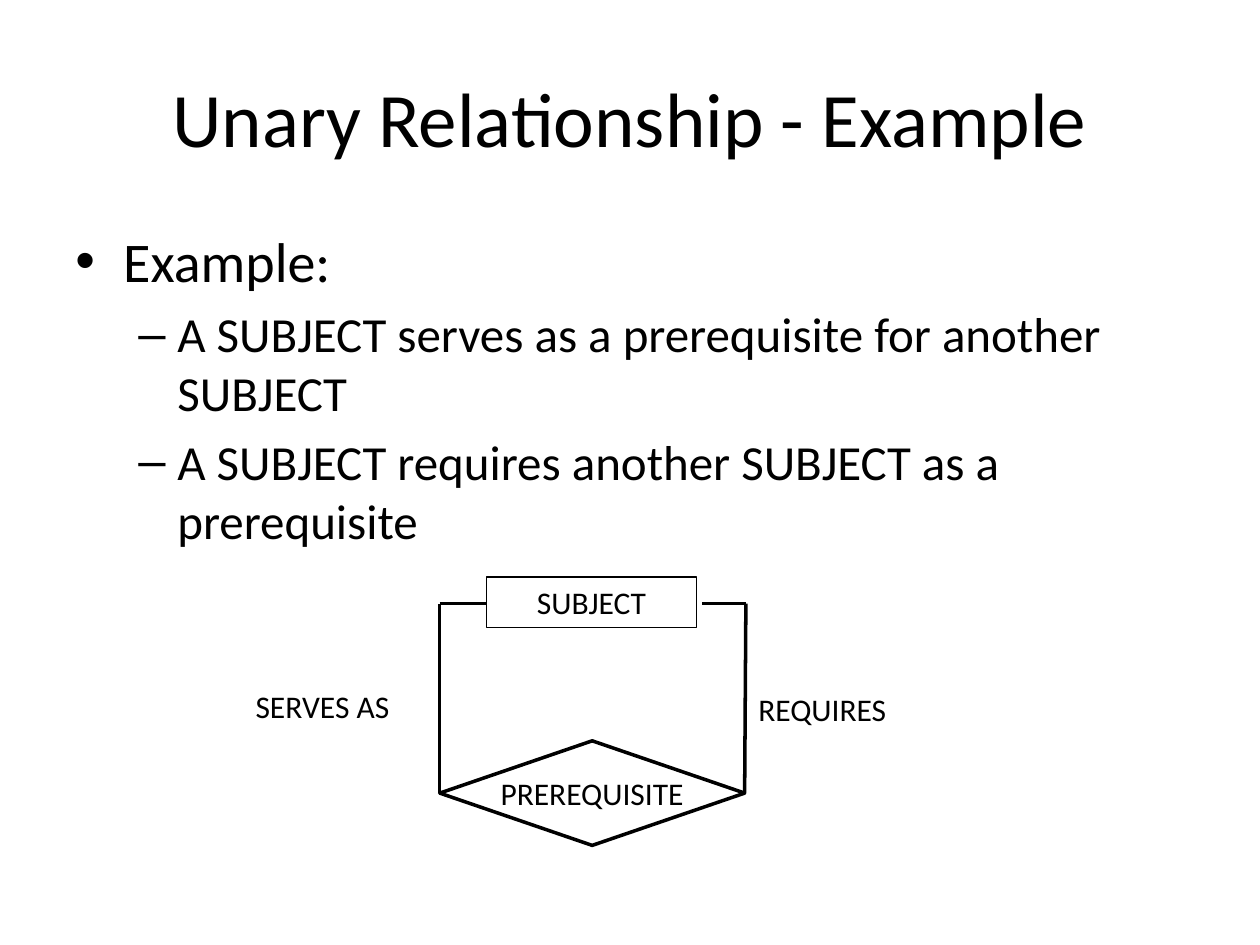
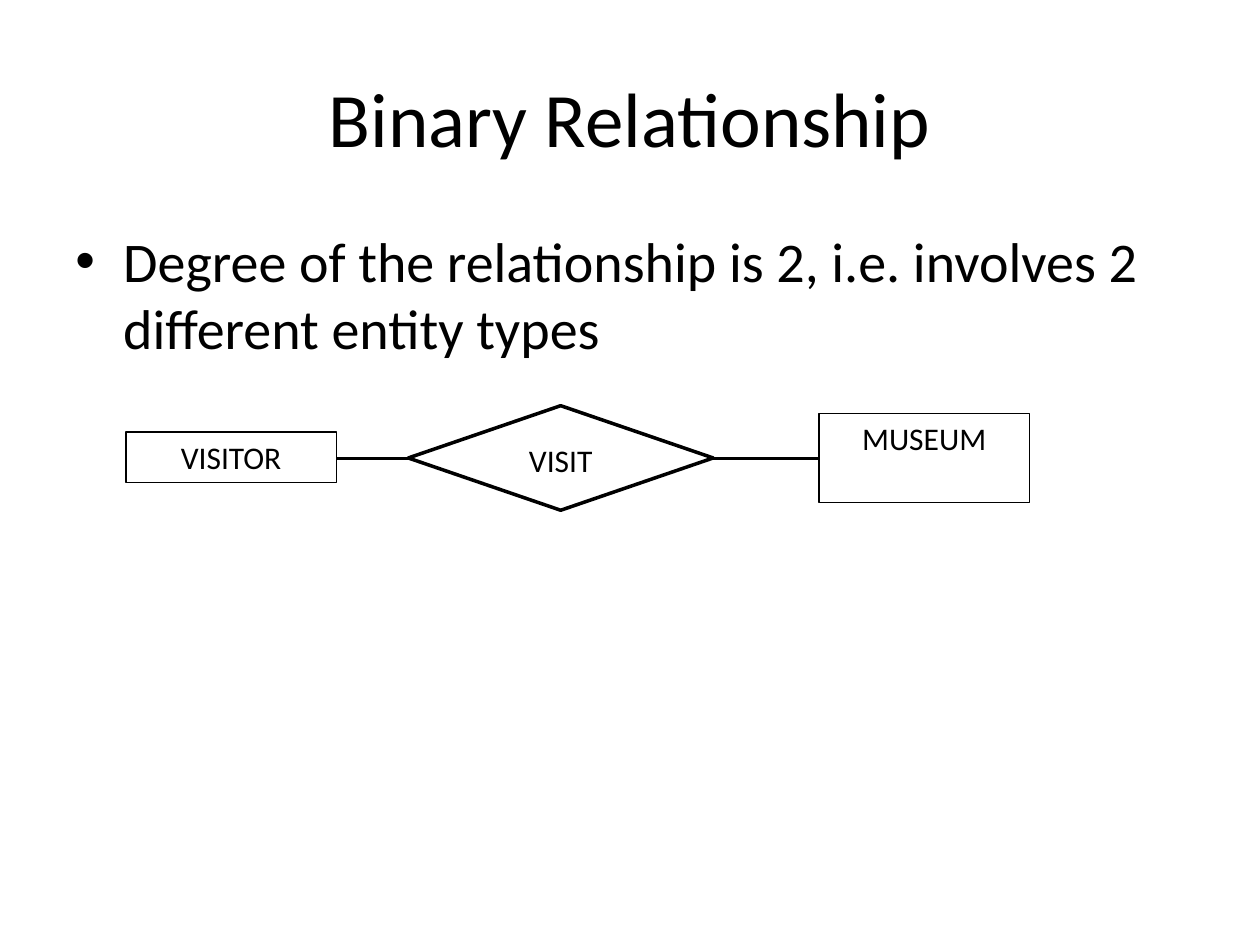
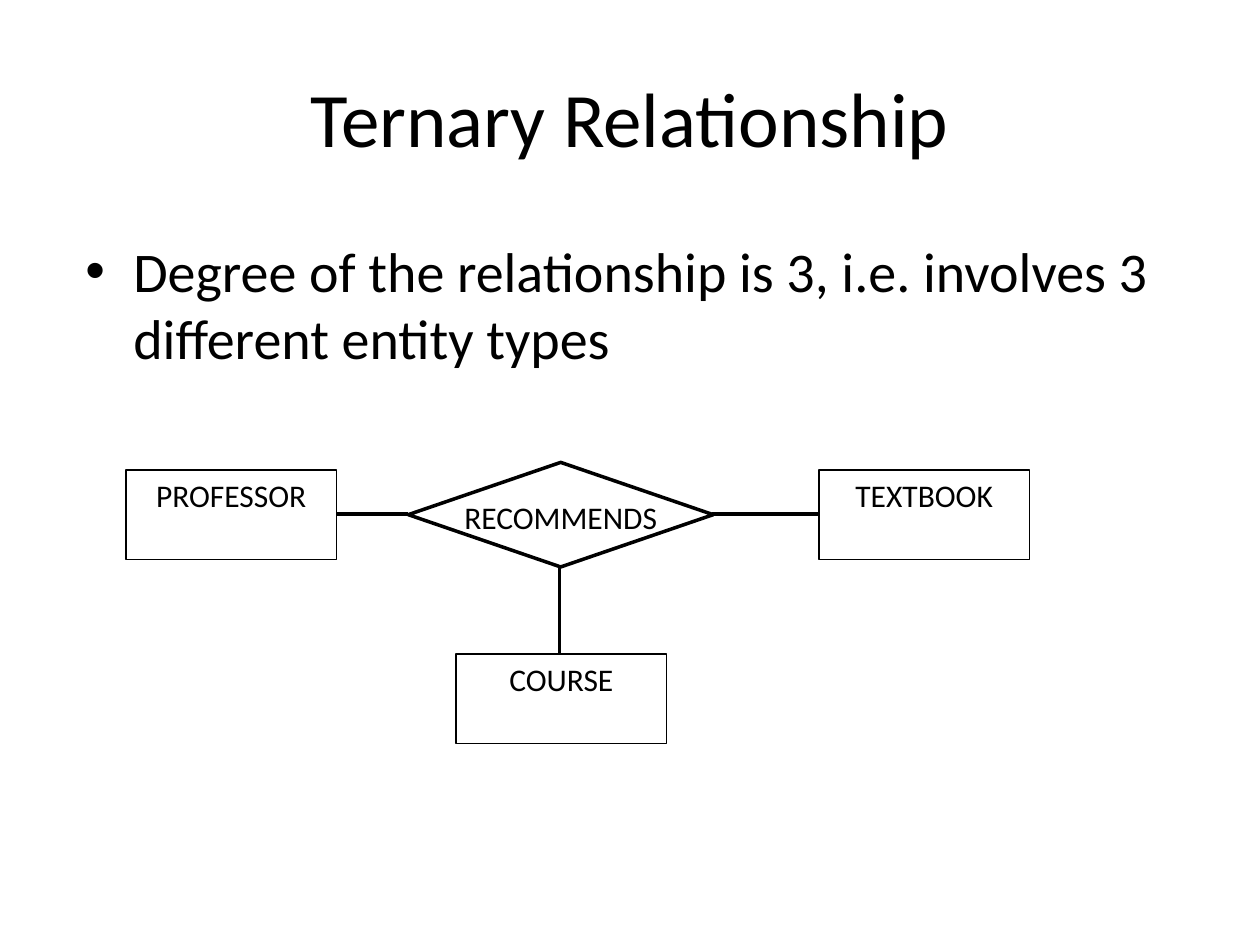
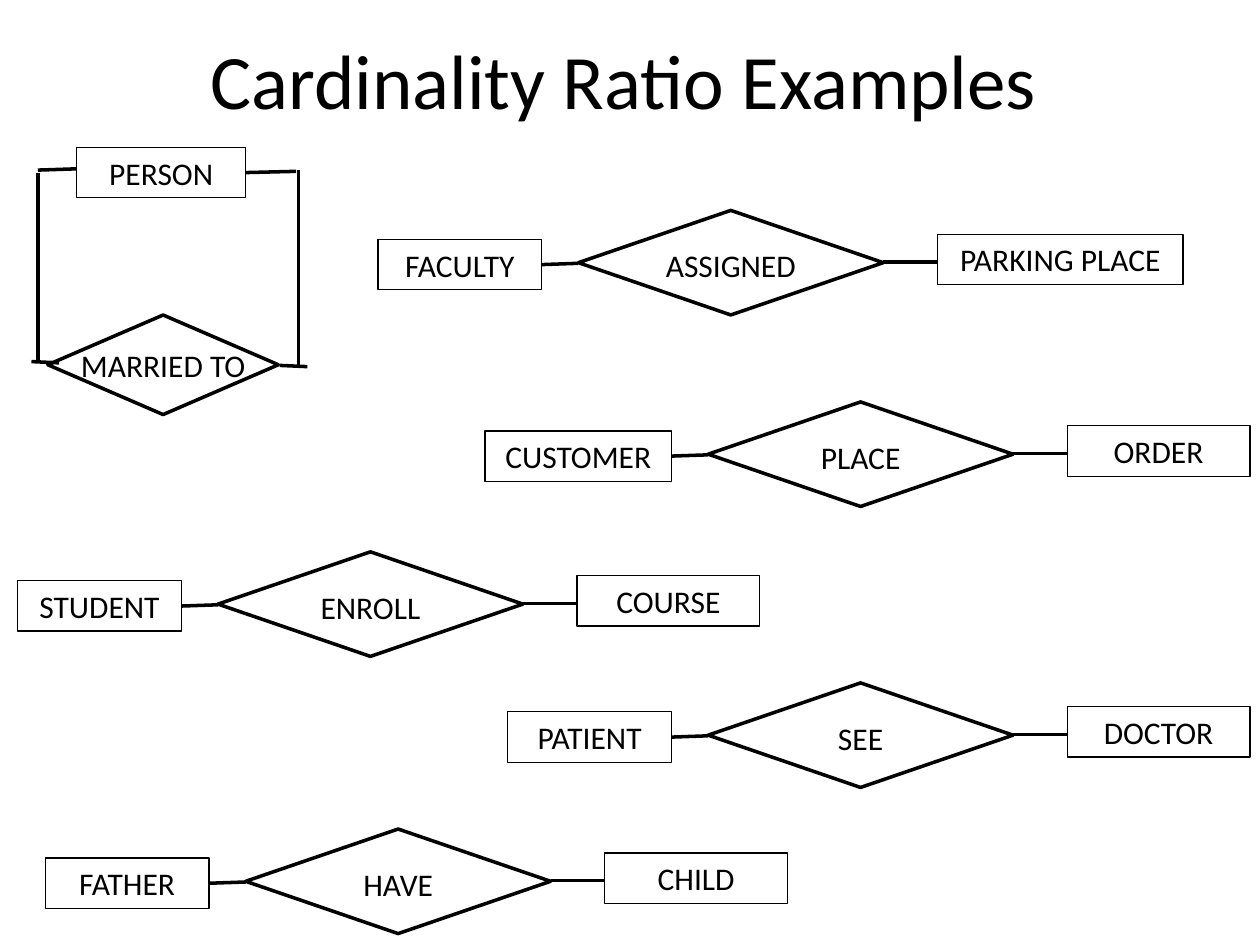
import pptx
import pptx.util
import pptx.dml.color
import pptx.enum.shapes
import pptx.enum.text
import pptx.oxml.ns
from lxml import etree

Inches, Pt = pptx.util.Inches, pptx.util.Pt
SHAPES = pptx.enum.shapes.MSO_SHAPE
ALIGN = pptx.enum.text.PP_ALIGN
ANCHOR = pptx.enum.text.MSO_ANCHOR
qn = pptx.oxml.ns.qn

COLOURS = {"ink": "000000", "paper": "FFFFFF"}
FONT = "Calibri"
TITLE_SIZE, LABEL_SIZE = 44, 18
THIN, THICK = 0.75, 2
ROW = 0.4                      # height of a one-line box
DIAMOND = (2.42, 0.83)
LEVELS = [
    {"size": 32, "bullet": "•", "margin": 0.38, "indent": -0.38},
    {"size": 28, "bullet": "–", "margin": 0.81, "indent": -0.31},
]

# bullets: (level, text); entities: (name, left, top, width, height)
# relationships: (name, left, top, width, height, caption width, caption drop)
# lines: (x1, y1, x2, y2); labels: (text, left, top)
# chains: (left entity, its width, relationship, right entity, its width, diamond left, top)
SLIDES = [
    {
        "title": ("Unary Relationship - Example", 0.5, 0.3),
        "body_at": (0.5, 1.75),
        "bullets": [
            (0, "Example:"),
            (1, "A SUBJECT serves as a prerequisite for another SUBJECT"),
            (1, "A SUBJECT requires another SUBJECT as a prerequisite"),
        ],
        "entities": [("SUBJECT", 3.86, 4.58, 1.67, ROW)],
        "relationships": [("PREREQUISITE", 3.49, 5.88, *DIAMOND, 1.67, 0)],
        "lines": [
            (5.92, 4.79, 5.91, 6.29), (5.92, 4.79, 5.57, 4.79),
            (3.49, 4.79, 3.49, 6.29), (3.49, 4.79, 3.86, 4.79),
        ],
        "labels": [("REQUIRES", 5.92, 5.43), ("SERVES AS", 1.93, 5.4)],
    },
    {
        "title": ("Binary Relationship", 0.5, 0.3),
        "body_at": (0.5, 1.75),
        "bullets": [(0, "Degree of the relationship is 2, i.e. involves 2 different entity types")],
        "entities": [("VISITOR", 1, 3.43, 1.67, ROW), ("MUSEUM", 6.5, 3.28, 1.67, 0.71)],
        "relationships": [("VISIT", 3.24, 3.22, *DIAMOND, 1.75, 0.02)],
        "lines": [(2.67, 3.64, 3.24, 3.64), (5.65, 3.64, 6.5, 3.64)],
    },
    {
        "title": ("Ternary Relationship", 0.5, 0.3),
        "body_at": (0.58, 1.83),
        "bullets": [(0, "Degree of the relationship is 3, i.e. involves 3 different entity types")],
        "entities": [
            ("PROFESSOR", 1, 3.73, 1.67, 0.71),
            ("TEXTBOOK", 6.5, 3.73, 1.67, 0.71),
            ("COURSE", 3.62, 5.19, 1.67, 0.71),
        ],
        "relationships": [("RECOMMENDS", 3.24, 3.67, *DIAMOND, 1.75, 0.02)],
        "lines": [
            (2.67, 4.08, 3.24, 4.08), (5.65, 4.08, 6.5, 4.08), (4.44, 4.5, 4.44, 5.19),
        ],
    },
    {
        "title": ("Cardinality Ratio Examples ", 0.52, 0),
        "entities": [("PERSON", 0.61, 1.17, 1.34, ROW)],
        "relationships": [("MARRIED TO", 0.38, 2.5, 1.83, 0.79, 1.52, 0)],
        "filled": ("PERSON", "MARRIED TO"),
        "lines": [
            (0.61, 1.34, 0.3, 1.35), (2.37, 1.35, 2.37, 2.91), (2.35, 1.36, 1.95, 1.37),
            (0.3, 1.37, 0.3, 2.88), (2.44, 2.91, 2.22, 2.9), (0.47, 2.88, 0.25, 2.87),
        ],
        "chains": [
            ("FACULTY", 1.3, "ASSIGNED", "PARKING PLACE", 1.95, 4.59, 1.67),
            ("STUDENT", 1.3, "ENROLL", "COURSE", 1.45, 1.73, 4.38),
            ("FATHER", 1.3, "HAVE", "CHILD", 1.45, 1.95, 6.58),
            ("CUSTOMER", 1.48, "PLACE", "ORDER", 1.45, 5.62, 3.19),
            ("PATIENT", 1.3, "SEE", "DOCTOR", 1.45, 5.62, 5.42),
        ],
    },
]


def colour(name):
    return pptx.dml.color.RGBColor.from_string(COLOURS[name])


def write(paragraph, text, size, align):
    run = paragraph.add_run()
    run.text = text
    paragraph.alignment = align
    for name, value in {"name": FONT, "size": Pt(size)}.items():
        setattr(run.font, name, value)
    run.font.color.rgb = colour("ink")


def add_text(slide, text, box, size=LABEL_SIZE, align=ALIGN.LEFT, anchor=ANCHOR.TOP, wrap=False):
    frame = slide.shapes.add_textbox(*map(Inches, box)).text_frame
    frame.word_wrap, frame.vertical_anchor = wrap, anchor
    write(frame.paragraphs[0], text, size, align)


def add_bullets(slide, bullets, left, top):
    frame = slide.shapes.add_textbox(*map(Inches, (left, top, 9, 4.95))).text_frame
    frame.word_wrap = True
    for number, (level, text) in enumerate(bullets):
        paragraph = frame.add_paragraph() if number else frame.paragraphs[0]
        style = LEVELS[level]
        write(paragraph, text, style["size"], ALIGN.LEFT)
        paragraph.level = level
        properties = paragraph._p.get_or_add_pPr()
        properties.set("marL", str(Inches(style["margin"])))
        properties.set("indent", str(Inches(style["indent"])))
        spacing = etree.SubElement(properties, qn("a:spcBef"))
        etree.SubElement(spacing, qn("a:spcPct"), val="20000")
        etree.SubElement(properties, qn("a:buFont"), typeface="Arial")
        etree.SubElement(properties, qn("a:buChar"), char=style["bullet"])


def add_outline(slide, kind, box, weight, filled):
    shape = slide.shapes.add_shape(kind, *map(Inches, box))
    shape.shadow.inherit = False
    if filled:
        shape.fill.solid()
        shape.fill.fore_color.rgb = colour("paper")
    else:
        shape.fill.background()
    shape.line.color.rgb = colour("ink")
    shape.line.width = Pt(weight)
    return shape


def add_entity(slide, name, left, top, width, height, filled=False):
    shape = add_outline(slide, SHAPES.RECTANGLE, (left, top, width, height), THIN, filled)
    shape.text_frame.word_wrap = True
    shape.text_frame.vertical_anchor = ANCHOR.TOP
    write(shape.text_frame.paragraphs[0], name, LABEL_SIZE, ALIGN.CENTER)


def add_relationship(slide, name, left, top, width, height, caption_width, drop, filled=False):
    add_outline(slide, SHAPES.DIAMOND, (left, top, width, height), THICK, filled)
    caption = (left + (width - caption_width) / 2, top + (height - ROW) / 2 + drop,
               caption_width, ROW)
    add_text(slide, name, caption, align=ALIGN.CENTER)


def add_line(slide, *ends):
    line = slide.shapes.add_connector(pptx.enum.shapes.MSO_CONNECTOR.STRAIGHT, *map(Inches, ends))
    line.line.color.rgb = colour("ink")
    line.line.width = Pt(THICK)
    etree.SubElement(line._element.spPr, qn("a:effectLst"))


def add_chain(slide, first, first_width, relationship, second, second_width, left, top):
    """Entity, diamond and entity in a row, placed from the diamond's corner."""
    start, end = left - 0.29, left + 2.85
    right = left + DIAMOND[0]
    add_entity(slide, first, start - first_width, top + 0.23, first_width, ROW)
    add_entity(slide, second, end, top + 0.19, second_width, ROW)
    add_relationship(slide, relationship, left, top, *DIAMOND, 1.75, 0.02)
    add_line(slide, start, top + 0.43, left, top + 0.42)
    add_line(slide, right, top + 0.41, end, top + 0.41)


def main():
    presentation = pptx.Presentation()
    presentation.slide_width, presentation.slide_height = Inches(10), Inches(7.5)
    for content in SLIDES:
        slide = presentation.slides.add_slide(presentation.slide_layouts[6])
        slide.background.fill.solid()
        slide.background.fill.fore_color.rgb = colour("paper")
        title, left, top = content["title"]
        add_text(slide, title, (left, top, 9, 1.25), TITLE_SIZE, ALIGN.CENTER, ANCHOR.MIDDLE, True)
        if "bullets" in content:
            add_bullets(slide, content["bullets"], *content["body_at"])
        filled = content.get("filled", ())
        for entity in content["entities"]:
            add_entity(slide, *entity, filled=entity[0] in filled)
        for relationship in content["relationships"]:
            add_relationship(slide, *relationship, filled=relationship[0] in filled)
        for ends in content["lines"]:
            add_line(slide, *ends)
        for text, left, top in content.get("labels", ()):
            add_text(slide, text, (left, top, 1.75, ROW))
        for chain in content.get("chains", ()):
            add_chain(slide, *chain)
    presentation.save("out.pptx")


if __name__ == "__main__":
    main()
